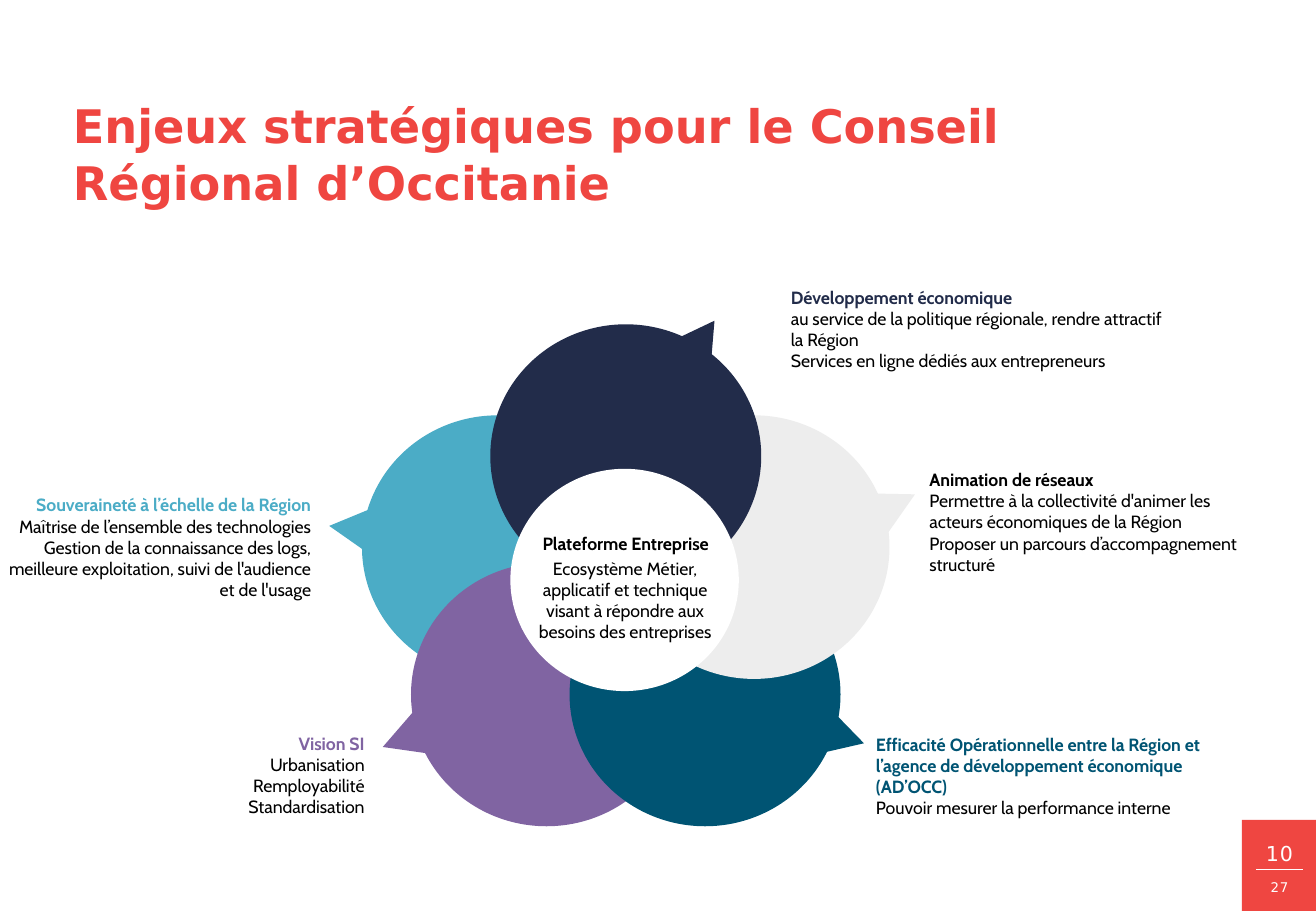
import math
from dataclasses import dataclass

from lxml import etree
from pptx import Presentation
from pptx.dml.color import RGBColor
from pptx.enum import shapes, text
from pptx.oxml import ns
from pptx.util import Inches, Pt

COLORS = {
    "red": "EF4641",
    "navy": "222C4A",
    "grey": "EDEDED",
    "teal": "005473",
    "purple": "8064A2",
    "blue": "4BACC6",
    "white": "FFFFFF",
    "black": "000000",
}
ALIGN = text.PP_ALIGN
CENTER = (5.15, 4.84)
ORBIT = (1.11, 1.085)
PETAL = (2.23, 2.17)
HUB = (4.2, 3.86, 1.88, 1.83)


@dataclass
class Petal:
    step: int
    color: str
    tip: list[tuple[float, float]]


@dataclass
class Label:
    box: tuple[float, float, float, float]
    heading: str
    lines: list[str]
    color: str = "black"
    align: ALIGN = ALIGN.LEFT


PETALS = [
    Petal(4, "blue", [(3.17, 4.14), (2.71, 4.33), (3.11, 4.61)]),
    Petal(3, "purple", [(3.47, 5.78), (3.15, 6.15), (3.64, 6.22)]),
    Petal(2, "teal", [(6.63, 6.23), (7.11, 6.12), (6.77, 5.77)]),
    Petal(1, "grey", [(7.25, 4.47), (7.53, 4.07), (7.03, 4.06)]),
    Petal(0, "navy", [(5.84, 3.12), (5.88, 2.64), (5.44, 2.85)]),
]

LABELS = [
    Label((6.41, 2.31, 3.35, 0.81), "Développement économique",
          ["au service de la politique régionale, rendre attractif la Région",
           "Services en ligne dédiés aux entrepreneurs"], "navy"),
    Label((7.55, 3.81, 2.75, 0.98), "Animation de réseaux",
          ["Permettre à la collectivité d'animer les acteurs économiques de la Région",
           "Proposer un parcours d’accompagnement structuré"]),
    Label((7.11, 5.99, 3.19, 0.81),
          "Efficacité Opérationnelle entre la Région et l’agence de développement économique (AD’OCC)",
          ["Pouvoir mesurer la performance interne"], "teal"),
    Label((1.62, 5.98, 1.48, 0.81), "Vision SI",
          ["Urbanisation", "Remployabilité", "Standardisation"], "purple", ALIGN.RIGHT),
    Label((-0.03, 4.02, 2.69, 1.34), "Souveraineté à l’échelle de la Région",
          ["Maîtrise de l’ensemble des technologies",
           "Gestion de la connaissance des logs, meilleure exploitation, "
           "suivi de l'audience et de l'usage"], "blue", ALIGN.RIGHT),
    Label((4.22, 4.34, 1.86, 0.25), "Plateforme Entreprise", [], align=ALIGN.CENTER),
    Label((4.29, 4.54, 1.71, 0.72), "",
          ["Ecosystème Métier, applicatif et technique visant à répondre aux besoins "
           "des entreprises"], align=ALIGN.CENTER),
]


def rgb(color: str) -> RGBColor:
    return RGBColor.from_string(COLORS[color])


def write(tf, content: str, *, size: float = 10.5, font: str = "Cabin",
          color: str = "black", bold: bool = False, align: ALIGN = ALIGN.LEFT,
          tracking: float = 0, line_spacing: float = 1.0) -> None:
    p = tf.add_paragraph() if tf.text else tf.paragraphs[0]
    p.alignment = align
    p.line_spacing = line_spacing
    r = p.add_run()
    r.text = content
    r.font.size = Pt(size)
    r.font.name = font
    r.font.bold = bold
    r.font.color.rgb = rgb(color)
    if tracking:
        r.font._element.set("spc", str(round(tracking * 100)))


def set_frame(tf, *, tight: bool = False) -> None:
    tf.word_wrap = True
    tf.auto_size = text.MSO_AUTO_SIZE.NONE
    tf.vertical_anchor = text.MSO_ANCHOR.TOP
    if tight:
        tf.margin_left = tf.margin_right = tf.margin_bottom = 0
        tf.margin_top = Inches(0.02)


def add_text_frame(s, box: tuple[float, ...], *, tight: bool = False):
    tf = s.shapes.add_textbox(*map(Inches, box)).text_frame
    set_frame(tf, tight=tight)
    return tf


def paint(sp, color: str) -> None:
    sp.shadow.inherit = False
    sp.fill.solid()
    sp.fill.fore_color.rgb = rgb(color)
    sp.line.fill.background()


def add_shape(s, kind: shapes.MSO_SHAPE, box: tuple[float, ...], color: str) -> None:
    paint(s.shapes.add_shape(kind, *map(Inches, box)), color)


def add_petal(s, petal: Petal) -> None:
    angle = math.radians(72 * petal.step)
    left = CENTER[0] + ORBIT[0] * math.sin(angle) - PETAL[0] / 2
    top = CENTER[1] - ORBIT[1] * math.cos(angle) - PETAL[1] / 2
    add_shape(s, shapes.MSO_SHAPE.OVAL, (left, top, *PETAL), petal.color)
    start, *rest = [(Inches(x), Inches(y)) for x, y in petal.tip]
    builder = s.shapes.build_freeform(*start)
    builder.add_line_segments(rest, close=True)
    paint(builder.convert_to_shape(), petal.color)


def add_label(s, label: Label) -> None:
    tf = add_text_frame(s, label.box)
    if label.heading:
        write(tf, label.heading, color=label.color, bold=True, align=label.align)
    for line in label.lines:
        write(tf, line, align=label.align)


def add_title(s, content: str) -> None:
    title = s.shapes.title
    title.left, title.top, title.width, title.height = map(Inches, (0.6, 0.76, 8.27, 0.94))
    set_frame(title.text_frame, tight=True)
    write(title.text_frame, content, size=27.4, font="DejaVu Sans", color="red",
          bold=True, line_spacing=1.04)


def add_page_marker(s, page: str, total: str) -> None:
    add_shape(s, shapes.MSO_SHAPE.RECTANGLE, (10.22, 6.75, 0.61, 0.75), "red")
    for content, box, size, tracking in (
        (page, (10.3, 6.9, 0.46, 0.23), 12.2, 0.6),
        (total, (10.23, 7.22, 0.6, 0.23), 7.9, 0.5),
    ):
        write(add_text_frame(s, box, tight=True), content, size=size, font="DejaVu Sans",
              color="white", align=ALIGN.CENTER, tracking=tracking)
    rule = s.shapes.add_connector(shapes.MSO_CONNECTOR.STRAIGHT,
                                  *map(Inches, (10.34, 7.16, 10.72, 7.16)))
    rule.line.color.rgb = rgb("white")
    rule.line.width = Pt(0.5)
    etree.SubElement(rule._element.spPr, ns.qn("a:effectLst"))


def main() -> None:
    prs = Presentation()
    prs.slide_width, prs.slide_height = Inches(10.83), Inches(7.5)
    s = prs.slides.add_slide(prs.slide_layouts[5])
    add_page_marker(s, "10", "27")
    add_title(s, "Enjeux stratégiques pour le Conseil Régional d’Occitanie")
    for petal in PETALS:
        add_petal(s, petal)
    add_shape(s, shapes.MSO_SHAPE.OVAL, HUB, "white")
    for label in LABELS:
        add_label(s, label)
    prs.save("out.pptx")


if __name__ == "__main__":
    main()
